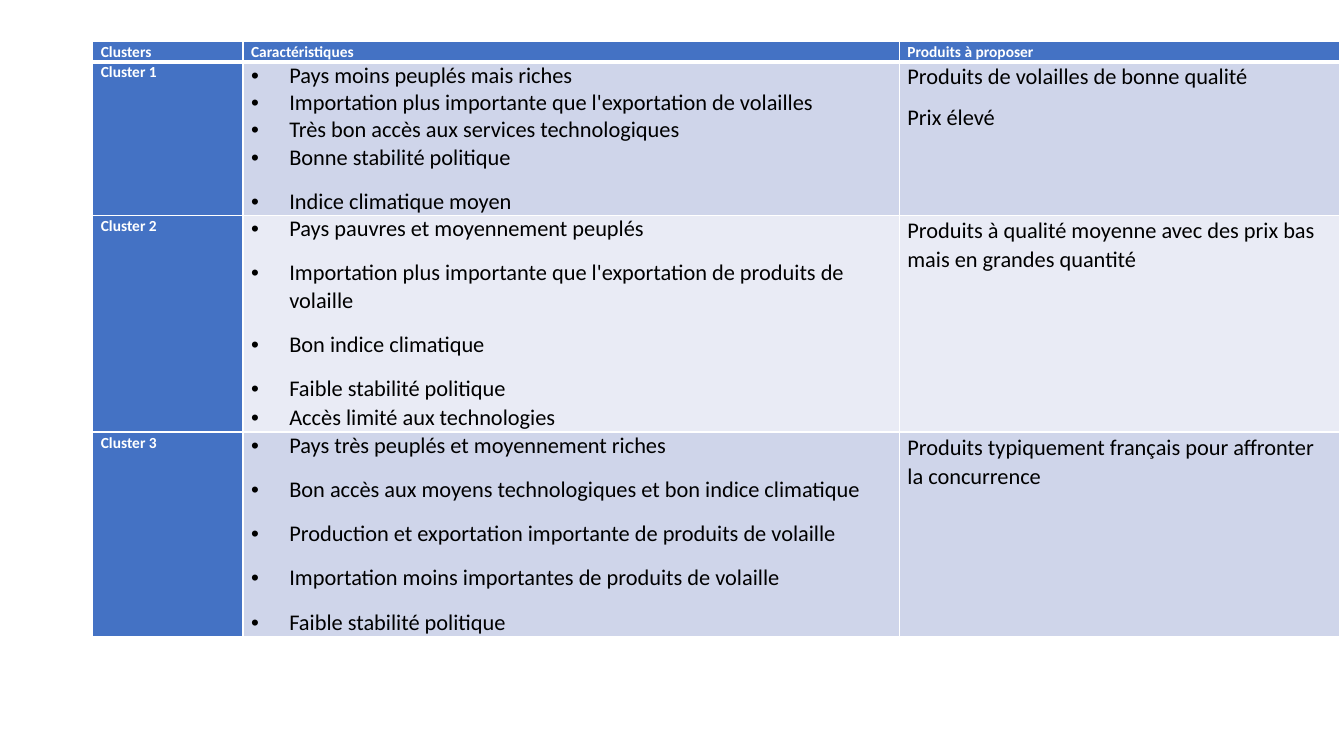
"""Build a slide with a table of country clusters and the products to offer them."""
from lxml.etree import SubElement
from pptx import Presentation
from pptx.dml.color import RGBColor
from pptx.oxml.ns import qn
from pptx.util import Emu, Inches, Pt

COLORS = {"accent": "4472C4", "band_dark": "CFD5EA", "band_light": "E9EBF5",
          "border": "FFFFFF", "heading": "FFFFFF", "body": "000000"}
FONT = "Calibri"
SLIDE_SIZE = (13.33, 7.5)
TABLE_ORIGIN = (0.92, 0.41)
COLUMN_WIDTHS = (1.49, 6.51, 4.37)
ROW_HEIGHTS = (0.14, 1.2, 1.43, 1.9)
SIDE_MARGIN = 0.08
BULLET_INDENT = 0.38

SPACING = {
    "tight": {},
    "before": {"space_before": Pt(12)},
    "after": {"line_spacing": 1.07, "space_after": Pt(8)},
}

HEADERS = ("Clusters", "Caractéristiques", "Produits à proposer")
CLUSTERS = [
    ("Cluster 1",
     [("Pays moins peuplés mais riches", "tight"),
      ("Importation plus importante que l'exportation de volailles", "tight"),
      ("Très bon accès aux services technologiques", "tight"),
      ("Bonne stabilité politique", "tight"),
      ("Indice climatique moyen", "before")],
     ["Produits de volailles de bonne qualité", "Prix élevé"]),
    ("Cluster 2",
     [("Pays pauvres et moyennement peuplés", "before"),
      ("Importation plus importante que l'exportation de produits de volaille", "before"),
      ("Bon indice climatique", "before"),
      ("Faible stabilité politique", "before"),
      ("Accès limité aux technologies", "after")],
     ["Produits à qualité moyenne avec des prix bas mais en grandes quantité"]),
    ("Cluster 3",
     [("Pays très peuplés et moyennement riches", "before"),
      ("Bon accès aux moyens technologiques et bon indice climatique", "before"),
      ("Production et exportation importante de produits de volaille", "before"),
      ("Importation moins importantes de produits de volaille", "before"),
      ("Faible stabilité politique", "before")],
     ["Produits typiquement français pour affronter la concurrence"]),
]


def add_borders(cell, top, bottom):
    properties = cell._tc.get_or_add_tcPr()
    for side, width in (("L", 1), ("R", 1), ("T", top), ("B", bottom)):
        line = SubElement(properties, qn(f"a:ln{side}"), w=str(Pt(width)))
        fill = SubElement(line, qn("a:solidFill"))
        SubElement(fill, qn("a:srgbClr"), val=COLORS["border"])


def add_bullet(paragraph):
    properties = paragraph._p.get_or_add_pPr()
    indent = Inches(BULLET_INDENT)
    properties.set("marL", str(indent))
    properties.set("indent", str(-indent))
    SubElement(properties, qn("a:buFont"), typeface="Arial")
    SubElement(properties, qn("a:buChar"), char="•")


def fill_cell(cell, items, fill, heading=False, bulleted=False):
    cell.margin_left = cell.margin_right = Inches(SIDE_MARGIN)
    cell.margin_top = cell.margin_bottom = Emu(0)
    cell.fill.solid()
    cell.fill.fore_color.rgb = RGBColor.from_string(COLORS[fill])
    frame = cell.text_frame
    for index, (text, spacing) in enumerate(items):
        paragraph = frame.add_paragraph() if index else frame.paragraphs[0]
        paragraph.text = text
        if bulleted:
            add_bullet(paragraph)
        for name, value in SPACING[spacing].items():
            setattr(paragraph, name, value)
        font = paragraph.font
        font.name = FONT
        font.size = Pt(11 if heading else 16)
        font.bold = heading
        font.color.rgb = RGBColor.from_string(COLORS["heading" if heading else "body"])


def add_cluster_table(slide):
    size = (sum(COLUMN_WIDTHS), sum(ROW_HEIGHTS))
    frame = slide.shapes.add_table(len(ROW_HEIGHTS), len(COLUMN_WIDTHS),
                                   *map(Inches, TABLE_ORIGIN + size))
    table = frame.table
    table.first_row = table.horz_banding = False
    for column, width in zip(table.columns, COLUMN_WIDTHS):
        column.width = Inches(width)
    for index, (row, height) in enumerate(zip(table.rows, ROW_HEIGHTS)):
        row.height = Inches(height)
        for cell in row.cells:
            add_borders(cell, 3 if index == 1 else 1, 3 if index == 0 else 1)

    for cell, header in zip(table.rows[0].cells, HEADERS):
        fill_cell(cell, [(header, "after")], "accent", heading=True)
    for index, (name, traits, products) in enumerate(CLUSTERS, start=1):
        band = "band_dark" if index % 2 else "band_light"
        name_cell, traits_cell, products_cell = table.rows[index].cells
        fill_cell(name_cell, [(name, "after")], "accent", heading=True)
        fill_cell(traits_cell, traits, band, bulleted=True)
        fill_cell(products_cell, [(product, "after") for product in products], band)


def main():
    presentation = Presentation()
    presentation.slide_width, presentation.slide_height = map(Inches, SLIDE_SIZE)
    slide = presentation.slides.add_slide(presentation.slide_layouts[6])
    add_cluster_table(slide)
    presentation.save("out.pptx")


if __name__ == "__main__":
    main()
